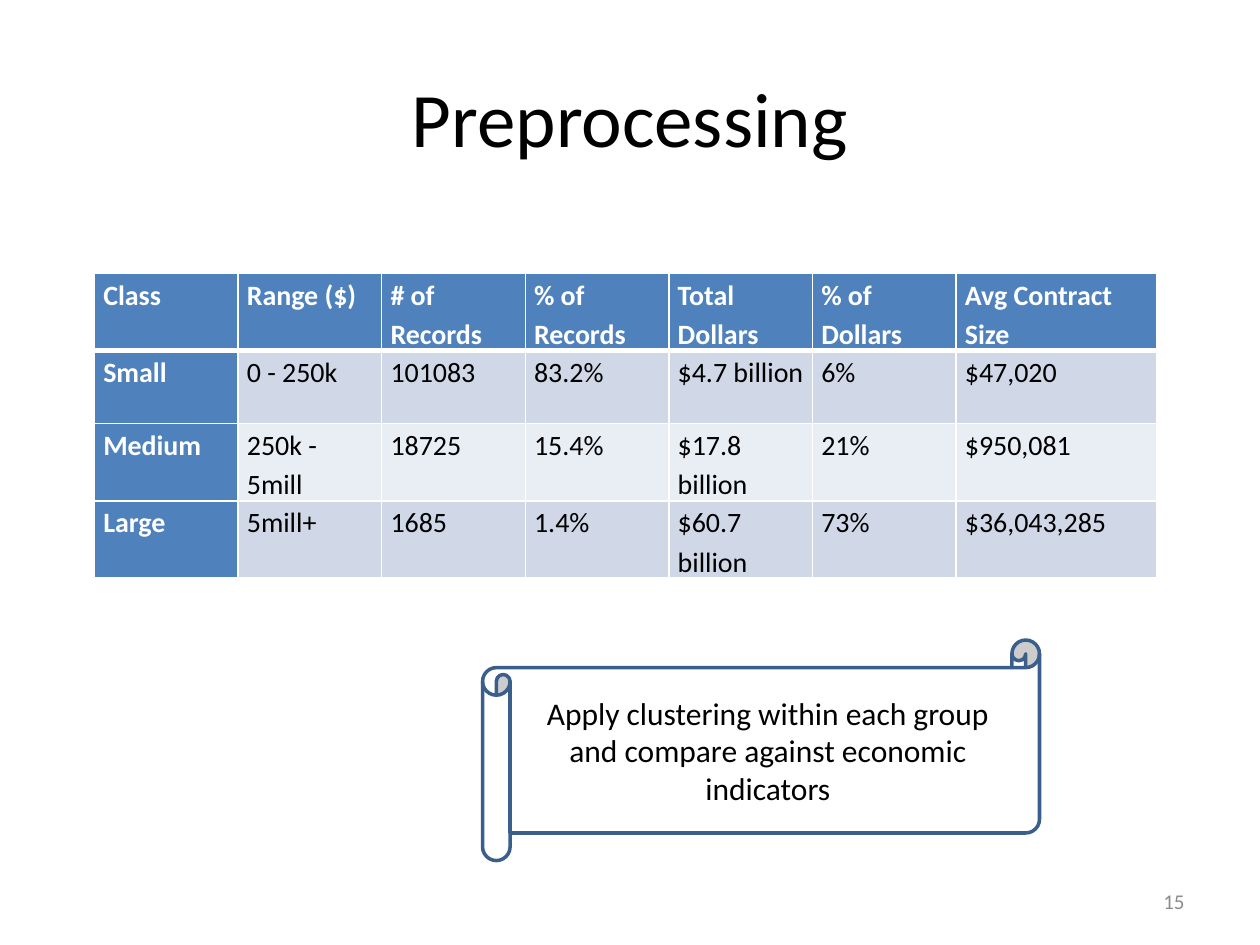
from dataclasses import dataclass

from lxml import etree
from pptx import Presentation
from pptx import util as u
from pptx.dml.color import RGBColor
from pptx.enum import shapes, text
from pptx.oxml import ns

BLACK = RGBColor(0x00, 0x00, 0x00)
WHITE = RGBColor(0xFF, 0xFF, 0xFF)
GREY = RGBColor(0x8C, 0x8C, 0x8C)
BLUE = RGBColor(0x4F, 0x81, 0xBD)
DARK_BLUE = RGBColor(0x3A, 0x5F, 0x8C)
BAND_DARK = RGBColor(0xD0, 0xD8, 0xE8)
BAND_LIGHT = RGBColor(0xE9, 0xED, 0xF4)

COLUMN_WIDTHS = [1.14] * 6 + [1.59]
ROW_HEIGHT = 0.58
ROWS = [
    ["Class", "Range ($)", "# of Records", "% of Records", "Total Dollars",
     "% of Dollars", "Avg Contract Size"],
    ["Small", "0 - 250k", "101083", "83.2%", "$4.7 billion", "6%", "$47,020"],
    ["Medium", "250k - 5mill", "18725", "15.4%", "$17.8 billion", "21%", "$950,081"],
    ["Large", "5mill+", "1685", "1.4%", "$60.7 billion", "73%", "$36,043,285"],
]


@dataclass
class Label:
    wording: str
    left: float
    top: float
    width: float
    height: float
    size: int
    color: RGBColor
    align: text.PP_ALIGN = text.PP_ALIGN.CENTER


TITLE = Label("Preprocessing", 0.5, 0.3, 9, 1.25, 44, BLACK)
PAGE_NUMBER = Label("15", 7.17, 6.95, 2.33, 0.4, 12, GREY, text.PP_ALIGN.RIGHT)
SCROLL = Label("Apply clustering within each group and compare against economic indicators",
               3.83, 5.08, 4.42, 1.75, 18, BLACK)


def write(frame, wording: str, size: int, color: RGBColor,
          bold: bool = False, **para_format) -> None:
    para = frame.paragraphs[0]
    for name, value in para_format.items():
        setattr(para, name, value)
    span = para.add_run()
    span.text = wording
    span.font.color.rgb = color
    font_format = {"name": "Calibri", "size": u.Pt(size), "bold": bold}
    for name, value in font_format.items():
        setattr(span.font, name, value)


def bounds(label: Label) -> list[u.Length]:
    return [u.Inches(n) for n in (label.left, label.top, label.width, label.height)]


def fill_label(box, label: Label) -> None:
    frame = box.text_frame
    frame_format = {"word_wrap": True, "vertical_anchor": text.MSO_ANCHOR.MIDDLE}
    for name, value in frame_format.items():
        setattr(frame, name, value)
    write(frame, label.wording, label.size, label.color, alignment=label.align)


def add_label(page, label: Label) -> None:
    fill_label(page.shapes.add_textbox(*bounds(label)), label)


def add_scroll(page, label: Label) -> None:
    scroll = page.shapes.add_shape(shapes.MSO_SHAPE.HORIZONTAL_SCROLL, *bounds(label))
    scroll.shadow.inherit = False
    scroll.fill.solid()
    scroll.fill.fore_color.rgb = WHITE
    scroll.line.color.rgb = DARK_BLUE
    scroll.line.width = u.Pt(2)
    fill_label(scroll, label)


def set_borders(cell, widths: dict[str, int]) -> None:
    properties = cell._tc.get_or_add_tcPr()
    for side, width in widths.items():
        line = etree.SubElement(properties, ns.qn(f"a:ln{side}"), w=str(u.Pt(width)))
        solid = etree.SubElement(line, ns.qn("a:solidFill"))
        etree.SubElement(solid, ns.qn("a:srgbClr"), val=str(WHITE))


def add_class_table(page) -> None:
    table = page.shapes.add_table(
        len(ROWS), len(COLUMN_WIDTHS), u.Inches(0.75), u.Inches(2.17),
        u.Inches(sum(COLUMN_WIDTHS)), u.Inches(ROW_HEIGHT * len(ROWS))).table
    table.first_col = True
    for column, width in zip(table.columns, COLUMN_WIDTHS):
        column.width = u.Inches(width)
    cell_format = {
        "margin_left": u.Inches(0.07), "margin_right": u.Inches(0.07),
        "margin_top": 0, "margin_bottom": 0,
        "vertical_anchor": text.MSO_ANCHOR.TOP,
    }
    for r, values in enumerate(ROWS):
        table.rows[r].height = u.Inches(ROW_HEIGHT)
        for c, value in enumerate(values):
            cell = table.cell(r, c)
            heading = r == 0 or c == 0
            band = BAND_DARK if r % 2 else BAND_LIGHT
            for name, setting in cell_format.items():
                setattr(cell, name, setting)
            set_borders(cell, {"L": 1, "R": 1, "T": 3 if r == 1 else 1,
                               "B": 3 if r == 0 else 1})
            cell.fill.solid()
            cell.fill.fore_color.rgb = BLUE if heading else band
            write(cell.text_frame, value, 16, WHITE if heading else BLACK,
                  bold=heading, line_spacing=1.15)


def main() -> None:
    deck = Presentation()
    deck.slide_width = u.Inches(10)
    deck.slide_height = u.Inches(7.5)
    page = deck.slides.add_slide(deck.slide_layouts[6])
    add_label(page, TITLE)
    add_label(page, PAGE_NUMBER)
    add_class_table(page)
    add_scroll(page, SCROLL)
    deck.save("out.pptx")


if __name__ == "__main__":
    main()
